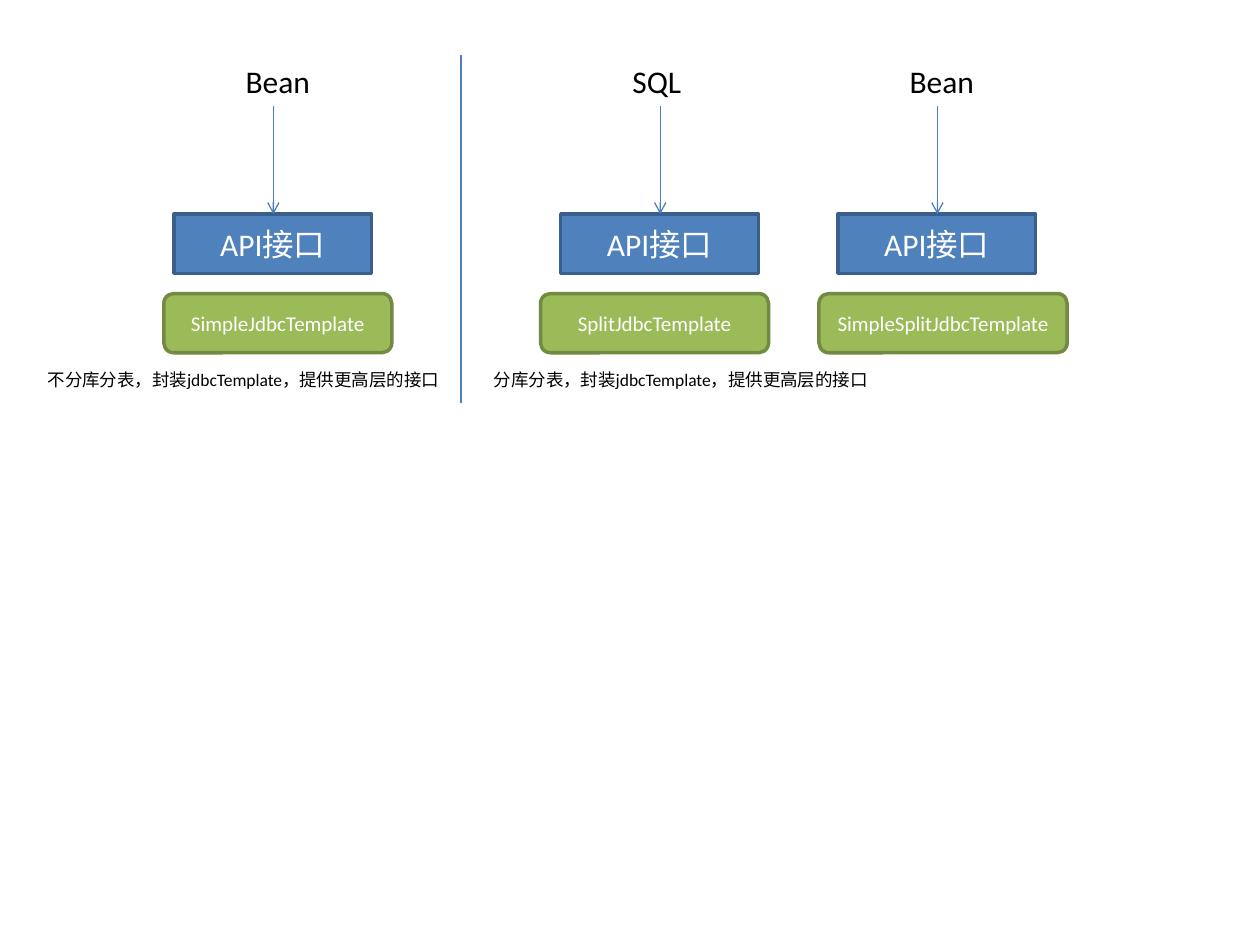
from dataclasses import dataclass
from pptx import Presentation
from pptx.dml.color import RGBColor
from pptx.enum.shapes import MSO_CONNECTOR, MSO_SHAPE
from pptx.enum.text import MSO_ANCHOR, MSO_AUTO_SIZE, PP_ALIGN
from pptx.oxml.ns import qn
from pptx.util import Inches, Pt
from lxml import etree

RECT = MSO_SHAPE.RECTANGLE
ROUND = MSO_SHAPE.ROUNDED_RECTANGLE
LINE = MSO_CONNECTOR.STRAIGHT
MIDDLE = MSO_ANCHOR.MIDDLE
CENTER = PP_ALIGN.CENTER
GROW = MSO_AUTO_SIZE.SHAPE_TO_FIT_TEXT


@dataclass(frozen=True)
class Theme:
    font: str = "Calibri"
    blue: str = "4F81BD"
    navy: str = "3A5F8C"
    green: str = "9BBB59"
    olive: str = "738A42"
    rule: str = "4B7EBC"
    white: str = "FFFFFF"
    black: str = "000000"
    large: int = 18
    medium: int = 12
    small: int = 10
    border: float = 2
    thin: float = 0.75


class Board:
    def __init__(self, slide, theme):
        self.slide = slide
        self.theme = theme

    def style(self, frame, text, size, color):
        frame.text = text
        font = frame.paragraphs[0].runs[0].font
        font.name = self.theme.font
        font.size = Pt(size)
        font.color.rgb = RGBColor.from_string(color)

    def box(self, kind, left, top, width, height, text, size, fill, edge):
        shape = self.slide.shapes.add_shape(
            kind, Inches(left), Inches(top), Inches(width), Inches(height))
        shape.shadow.inherit = False
        shape.fill.solid()
        shape.fill.fore_color.rgb = RGBColor.from_string(fill)
        shape.line.color.rgb = RGBColor.from_string(edge)
        shape.line.width = Pt(self.theme.border)
        frame = shape.text_frame
        frame.vertical_anchor = MIDDLE
        self.style(frame, text, size, self.theme.white)
        frame.paragraphs[0].alignment = CENTER

    def label(self, left, top, width, height, text, size, wrap=False):
        shape = self.slide.shapes.add_textbox(
            Inches(left), Inches(top), Inches(width), Inches(height))
        frame = shape.text_frame
        frame.word_wrap = wrap
        frame.auto_size = GROW
        self.style(frame, text, size, self.theme.black)

    def line(self, x, top, bottom, arrow=False):
        line = self.slide.shapes.add_connector(
            LINE, Inches(x), Inches(top), Inches(x), Inches(bottom))
        line.line.color.rgb = RGBColor.from_string(self.theme.rule)
        line.line.width = Pt(self.theme.thin)
        props = line._element.spPr
        if arrow:
            etree.SubElement(props.find(qn("a:ln")), qn("a:tailEnd"), type="arrow")
        etree.SubElement(props, qn("a:effectLst"))


def main():
    deck = Presentation()
    deck.slide_width, deck.slide_height = Inches(10), Inches(7.5)
    theme = Theme()
    board = Board(deck.slides.add_slide(deck.slide_layouts[6]), theme)

    columns = [
        (2.17, "Bean", 0.72, "SimpleJdbcTemplate", 1.3, 1.81),
        (5.24, "SQL", 0.59, "SplitJdbcTemplate", 4.29, 1.81),
        (7.44, "Bean", 0.72, "SimpleSplitJdbcTemplate", 6.5, 1.97),
    ]
    for x, source, span, name, left, width in columns:
        board.box(RECT, x - 0.79, 1.7, 1.57, 0.47, "API接口",
                  theme.large, theme.blue, theme.navy)
        board.box(ROUND, left, 2.33, width, 0.47, name,
                  theme.medium, theme.green, theme.olive)
        board.line(x, 0.84, 1.7, arrow=True)
        board.label(x - 0.32, 0.44, span, 0.4, source, theme.large)

    board.line(3.66, 0.44, 3.2)
    captions = [(0.28, 3.37, "不分库分表"), (3.82, 3.23, "分库分表")]
    for left, width, mode in captions:
        board.label(left, 2.88, width, 0.27,
                    f"{mode}，封装jdbcTemplate，提供更高层的接口",
                    theme.small, wrap=True)

    deck.save("out.pptx")


if __name__ == "__main__":
    main()
